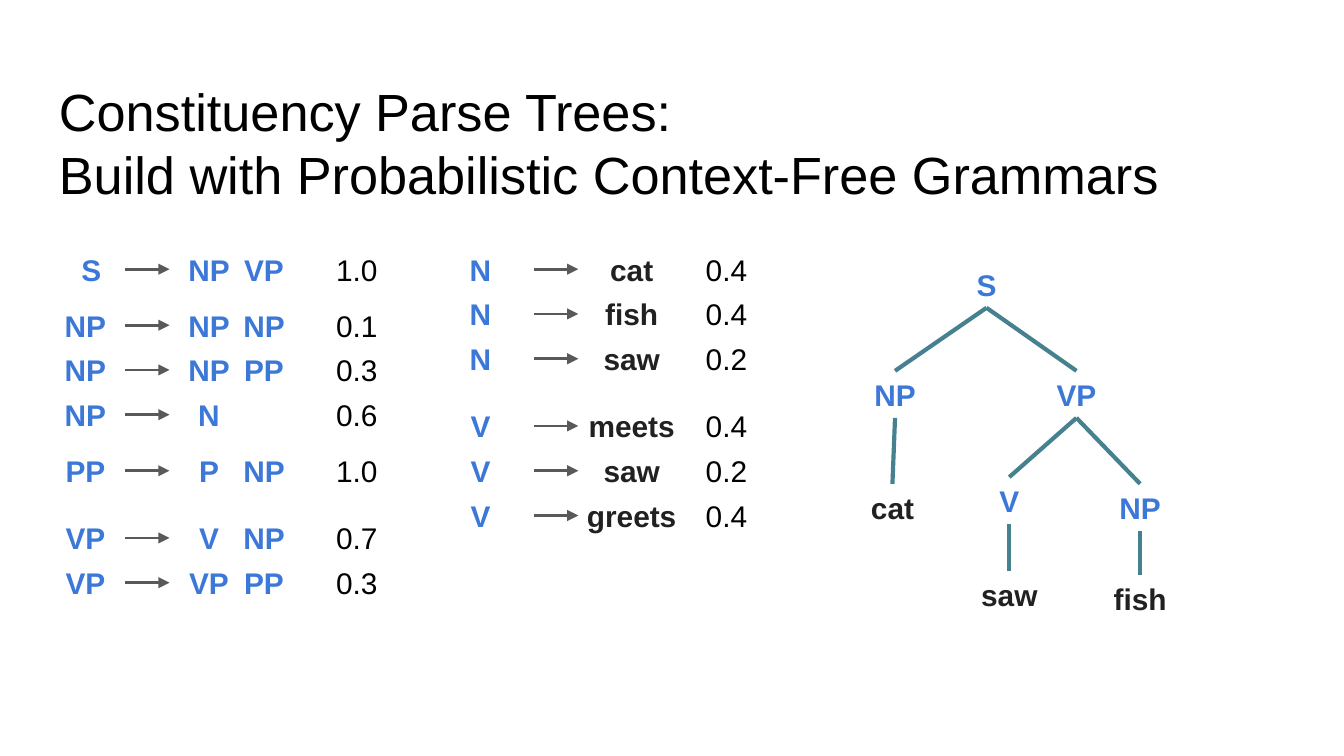
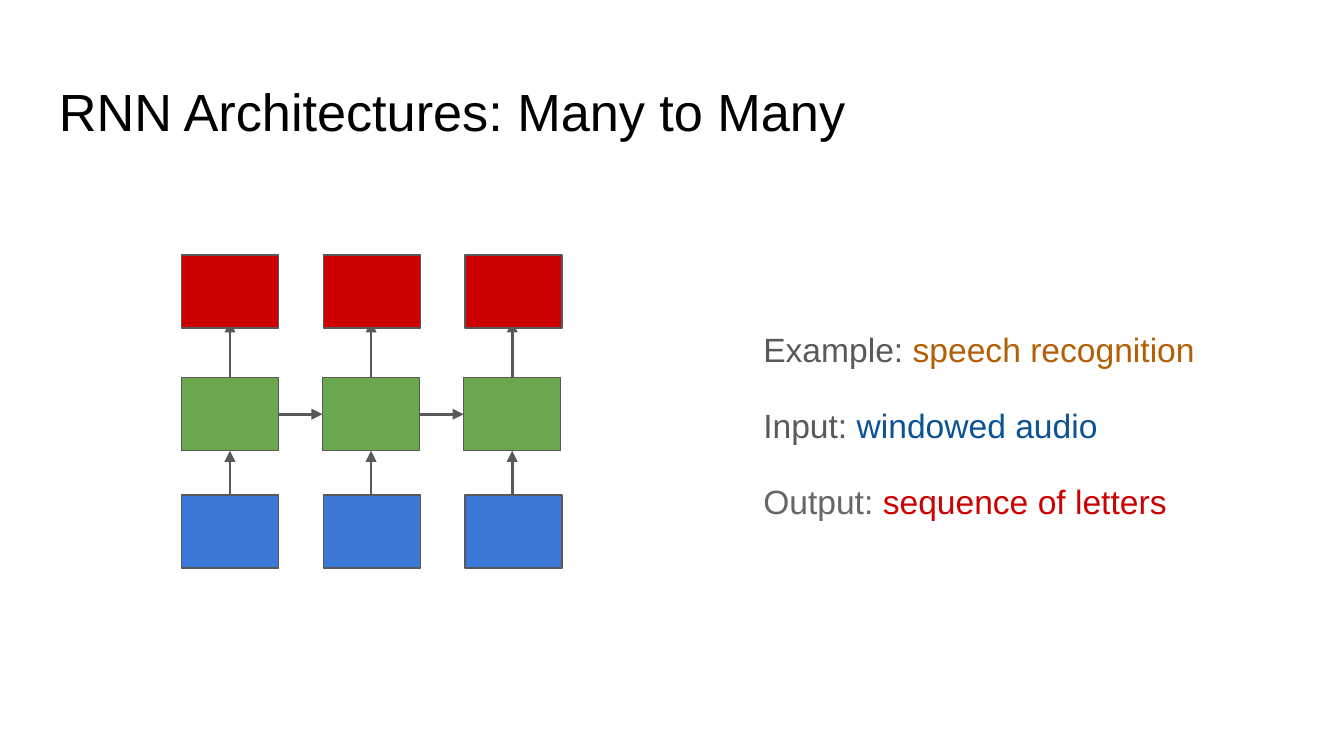
from dataclasses import dataclass

from lxml import etree
from pptx import Presentation
from pptx.dml.color import RGBColor
from pptx.enum.shapes import MSO_CONNECTOR, MSO_SHAPE
from pptx.enum.text import MSO_ANCHOR, PP_ALIGN
from pptx.oxml.ns import qn
from pptx.util import Pt

STRAIGHT, RECT = MSO_CONNECTOR.STRAIGHT, MSO_SHAPE.RECTANGLE
TOP, MIDDLE = MSO_ANCHOR.TOP, MSO_ANCHOR.MIDDLE
LEFT, CENTER = PP_ALIGN.LEFT, PP_ALIGN.CENTER
SITE_TOP, SITE_LEFT, SITE_BOTTOM, SITE_RIGHT = range(4)


@dataclass(frozen=True)
class Theme:
    font: str = "Arial"
    title_size: float = 28
    body_size: float = 18
    label_size: float = 16
    black: str = "000000"
    word: str = "212121"
    symbol: str = "3C78D8"
    branch: str = "45818E"
    gray: str = "595959"
    light_gray: str = "666666"
    orange: str = "B45F06"
    navy: str = "0B5394"
    red: str = "CC0000"
    green: str = "6AA84F"
    blue: str = "3C78D8"


T = Theme()

# ---- Content: grammar slide ----
GRAMMAR_TITLE = "Constituency Parse Trees:\vBuild with Probabilistic Context-Free Grammars"

# Groups of (left side, right side, probability), each after an extra gap
PHRASE_RULES = [
    (0, [("S", ("NP", "VP"), "1.0")]),
    (6, [("NP", ("NP", "NP"), "0.1"), ("NP", ("NP", "PP"), "0.3"), ("NP", ("N",), "0.6")]),
    (6, [("PP", ("P", "NP"), "1.0")]),
    (12, [("VP", ("V", "NP"), "0.7"), ("VP", ("VP", "PP"), "0.3")]),
]
WORD_RULES = [
    (0, [("N", ("cat",), "0.4"), ("N", ("fish",), "0.4"), ("N", ("saw",), "0.2")]),
    (12, [("V", ("meets",), "0.4"), ("V", ("saw",), "0.2"), ("V", ("greets",), "0.4")]),
]

# Node: (label, centre x, top, parent)
PARSE_TREE = {
    "root": ("S", 528.5, 139.7, None),
    "subject": ("NP", 479.5, 198.7, "root"),
    "predicate": ("VP", 576.7, 198.7, "root"),
    "cat": ("cat", 478.1, 259.2, "subject"),
    "verb": ("V", 540.7, 255.6, "predicate"),
    "object": ("NP", 610.8, 259.2, "predicate"),
    "saw": ("saw", 540.7, 306, "verb"),
    "fish": ("fish", 610.8, 308.2, "object"),
}

# ---- Content: network slide ----
RNN_TITLE = "RNN Architectures: Many to Many"
EXAMPLE = [
    [("Example: ", T.gray), ("speech recognition", T.orange)],
    [("Input: ", T.gray), ("windowed audio", T.navy)],
    [("Output: ", T.light_gray), ("sequence of letters", T.red)],
]
STEPS = 3

# ---- Layout ----
TITLE_BOX = (24.5, 35.3, 671, 45.4)
EXAMPLE_BOX = (401.8, 100.8, 291.6, 250.6)
LABEL_H, NODE_W, PROB_W = 25.2, 66.2, 42.5
RULES_TOP, RULE_PITCH, ARROW_W = 131.6, 24, 23.8
CELL_W, CELL_H, CELL_LEFT = 52, 39.2, 97.2
OUTPUT_TOP, HIDDEN_TOP, INPUT_TOP = 136.6, 202.3, 265.2
HIDDEN_STEP, OUTER_STEP = 75.6, 76


def assign(obj, values):
    for name, value in values.items():
        setattr(obj, name, value)


def text_box(s, box, paragraphs, size, anchor=MIDDLE, align=CENTER, bold=False, **spacing):
    """Paragraphs are lists of (text, colour) runs."""
    sp = s.shapes.add_textbox(*map(Pt, box))
    tf = sp.text_frame
    margins = {f"margin_{side}": Pt(7.2) for side in ("left", "right", "top", "bottom")}
    assign(tf, {"word_wrap": True, "vertical_anchor": anchor, **margins})
    for i, runs in enumerate(paragraphs):
        p = tf.add_paragraph() if i else tf.paragraphs[0]
        assign(p, {"alignment": align, **spacing})
        if i == 0:
            p.space_before = Pt(0)
        for text, color in runs:
            # A vertical tab marks a line break
            for j, line in enumerate(text.split("\v")):
                if j:
                    p.add_line_break()
                r = p.add_run()
                r.text = line
                assign(r.font, {"name": T.font, "size": Pt(size), "bold": bold})
                r.font.color.rgb = RGBColor.from_string(color)
    return sp


def label(s, text, left, top, width):
    """A grammar symbol, a word or a probability, told apart by its letters."""
    number = text[0].isdigit()
    color = T.black if number else T.symbol if text.isupper() else T.word
    return text_box(s, (left, top, width, LABEL_H), [[(text, color)]],
                    T.label_size, bold=not number)


def connect(s, color, width, start=(0, 0), end=(0, 0), begin=None, finish=None, arrow=True):
    """Straight line between points; begin and finish are (shape, site) joints."""
    c = s.shapes.add_connector(STRAIGHT, *map(Pt, (*start, *end)))
    if begin:
        c.begin_connect(*begin)
    if finish:
        c.end_connect(*finish)
    c.line.color.rgb = RGBColor.from_string(color)
    c.line.width = Pt(width)
    if arrow:
        etree.SubElement(c.line._get_or_add_ln(), qn("a:tailEnd"), type="triangle")
    etree.SubElement(c._element.spPr, qn("a:effectLst"))
    return c


def cell(s, left, top, color):
    sp = s.shapes.add_shape(RECT, *map(Pt, (left, top, CELL_W, CELL_H)))
    sp.shadow.inherit = False
    sp.fill.solid()
    sp.fill.fore_color.rgb = RGBColor.from_string(color)
    sp.line.color.rgb = RGBColor.from_string(T.gray)
    sp.line.width = Pt(0.75)
    return sp


def add_slide(prs, title):
    s = prs.slides.add_slide(prs.slide_layouts[6])
    text_box(s, TITLE_BOX, [[(title, T.black)]], T.title_size, anchor=TOP, align=LEFT)
    return s


def rule_list(s, groups, arrow_left, lhs_width, rhs_lefts, rhs_width, prob_left):
    top = RULES_TOP
    for gap, rules in groups:
        top += gap
        for lhs, rhs, prob in rules:
            width = lhs_width(lhs)
            label(s, lhs, arrow_left - width, top, width)
            y = top + LABEL_H / 2
            connect(s, T.gray, 1.5, (arrow_left, y), (arrow_left + ARROW_W, y))
            for text, left in zip(rhs, rhs_lefts):
                label(s, text, left, top, rhs_width)
            label(s, prob, prob_left, top, PROB_W)
            top += RULE_PITCH


def grammar_slide(prs):
    s = add_slide(prs, GRAMMAR_TITLE)
    rule_list(s, PHRASE_RULES, 67, lambda lhs: 36 if len(lhs) == 1 else 42.5,
              (90.7, 120.2), 42.5, 169.9)
    rule_list(s, WORD_RULES, 286, lambda lhs: 57.2, (305.3,), NODE_W, 367.9)

    # Parse tree: each node hangs from its parent
    nodes = {}
    for key, (text, x, top, parent) in PARSE_TREE.items():
        nodes[key] = label(s, text, x - NODE_W / 2, top, NODE_W)
        if parent:
            connect(s, T.branch, 2.25, begin=(nodes[parent], SITE_BOTTOM),
                    finish=(nodes[key], SITE_TOP), arrow=False)


def rnn_slide(prs):
    s = add_slide(prs, RNN_TITLE)
    text_box(s, EXAMPLE_BOX, EXAMPLE, T.body_size, align=LEFT,
             line_spacing=1.15, space_before=Pt(16))

    # Hidden cells, linked from step to step
    hidden = [cell(s, CELL_LEFT + i * HIDDEN_STEP, HIDDEN_TOP, T.green) for i in range(STEPS)]
    for a, b in zip(hidden, hidden[1:]):
        connect(s, T.gray, 1.5, begin=(a, SITE_RIGHT), finish=(b, SITE_LEFT))

    # Upward arrows, tucked under the input and output cells
    for i, h in enumerate(hidden):
        x = CELL_LEFT + i * HIDDEN_STEP + CELL_W / 2
        connect(s, T.gray, 1.5, start=(x, INPUT_TOP + 5), finish=(h, SITE_BOTTOM))
        connect(s, T.gray, 1.5, end=(x, OUTPUT_TOP + CELL_H - 3.6), begin=(h, SITE_TOP))
    for top, color in ((INPUT_TOP, T.blue), (OUTPUT_TOP, T.red)):
        for i in range(STEPS):
            cell(s, CELL_LEFT + i * OUTER_STEP, top, color)


def main():
    prs = Presentation()
    prs.slide_width, prs.slide_height = Pt(720), Pt(405)
    grammar_slide(prs)
    rnn_slide(prs)
    prs.save("out.pptx")


if __name__ == "__main__":
    main()
